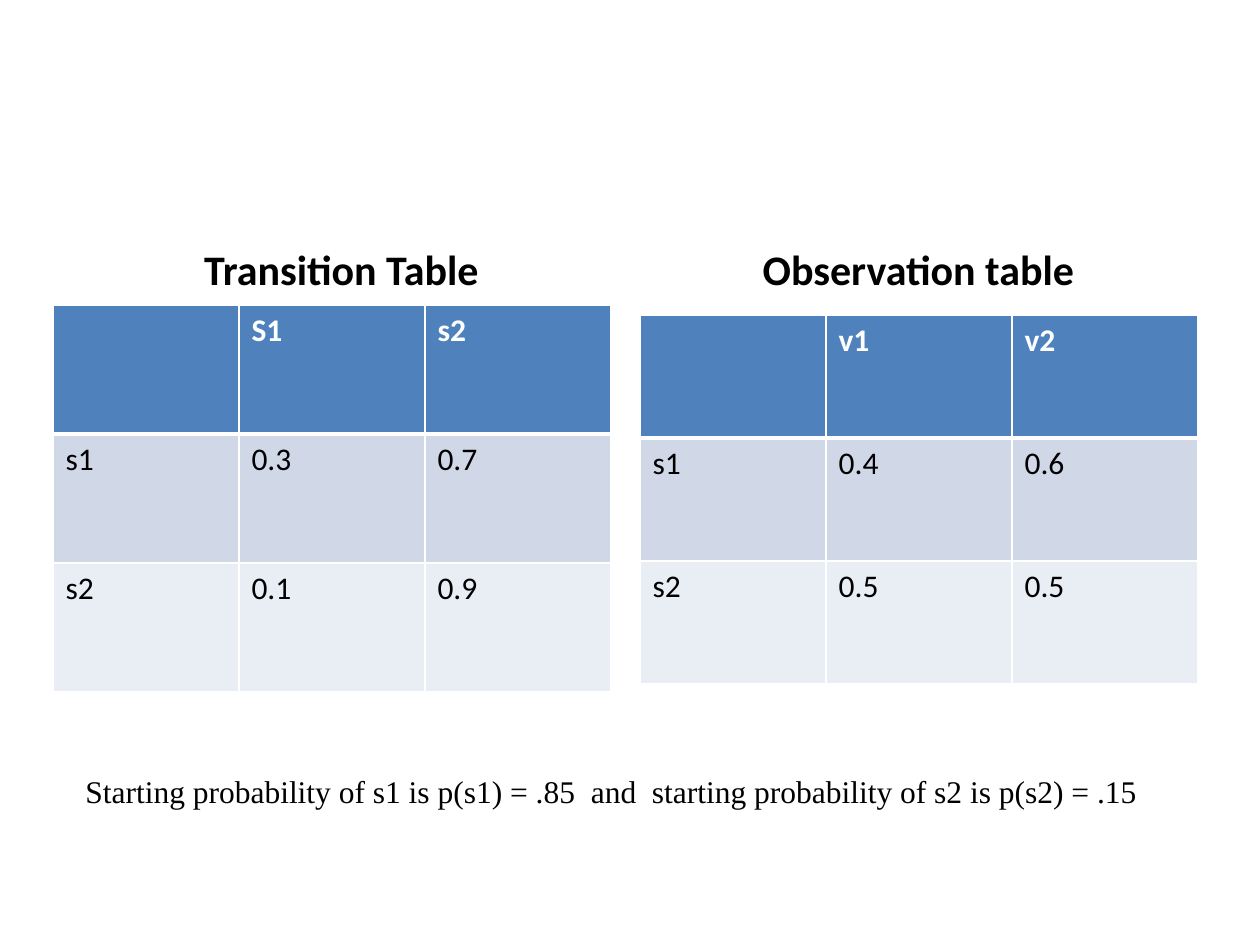
from dataclasses import dataclass

from lxml.etree import SubElement
from pptx import Presentation
from pptx.dml.color import RGBColor as RGB
from pptx.enum.text import MSO_ANCHOR as ANCHOR, PP_ALIGN as ALIGN
from pptx.oxml.ns import qn
from pptx.util import Emu, Pt

SCALE = 914400 / 126


@dataclass(frozen=True)
class Theme:
    header: str = "4F81BD"
    bands: tuple = ("D0D8E8", "E9EDF4")
    line: str = "FFFFFF"
    light: str = "FFFFFF"
    dark: str = "000000"
    font: str = "Calibri"
    note_font: str = "Times New Roman"
    title_size: int = 24
    body_size: int = 18


theme = Theme()


def px(*lengths):
    return [Emu(round(n * SCALE)) for n in lengths]


def write(tf, text, font=theme.font, size=theme.body_size, color=theme.dark,
          bold=False, align=ALIGN.LEFT, anchor=ANCHOR.TOP):
    tf.word_wrap = True
    tf.vertical_anchor = anchor
    p = tf.paragraphs[0]
    p.alignment = align
    r = p.add_run()
    r.text = text
    r.font.name = font
    r.font.size = Pt(size)
    r.font.bold = bold
    r.font.color.rgb = RGB.from_string(color)


prs = Presentation()
prs.slide_width, prs.slide_height = px(1260, 945)
s = prs.slides.add_slide(prs.slide_layouts[6])

COL_W = 186
# title, title left, table left, table top, row height, rows
tables = [
    ("Transition Table", 63, 53, 305, 129,
     [("", "S1", "s2"), ("s1", "0.3", "0.7"), ("s2", "0.1", "0.9")]),
    ("Observation table", 640, 640, 315, 123,
     [("", "v1", "v2"), ("s1", "0.4", "0.6"), ("s2", "0.5", "0.5")]),
]

for title, title_x, x, y, row_h, rows in tables:
    sp = s.shapes.add_textbox(*px(title_x, 212, 557, 88))
    write(sp.text_frame, title, size=theme.title_size, bold=True,
          align=ALIGN.CENTER, anchor=ANCHOR.BOTTOM)

    n_rows, n_cols = len(rows), len(rows[0])
    table = s.shapes.add_table(
        n_rows, n_cols, *px(x, y, COL_W * n_cols, row_h * n_rows)).table
    for col in table.columns:
        col.width = px(COL_W)[0]
    for i, values in enumerate(rows):
        table.rows[i].height = px(row_h)[0]
        is_header = i == 0
        fill = theme.header if is_header else theme.bands[(i - 1) % 2]
        for j, value in enumerate(values):
            cell = table.cell(i, j)
            tcPr = cell._tc.get_or_add_tcPr()
            for side in "LRTB":
                under_header = (i, side) in ((0, "B"), (1, "T"))
                ln = SubElement(tcPr, qn(f"a:ln{side}"),
                                w=str(Pt(3 if under_header else 1)))
                SubElement(SubElement(ln, qn("a:solidFill")),
                           qn("a:srgbClr"), val=theme.line)
            cell.fill.solid()
            cell.fill.fore_color.rgb = RGB.from_string(fill)
            if value:
                write(cell.text_frame, value, bold=is_header,
                      color=theme.light if is_header else theme.dark)

sp = s.shapes.add_textbox(*px(73, 766, 1113, 50))
write(sp.text_frame,
      "Starting probability of s1 is p(s1) = .85  and  "
      "starting probability of s2 is p(s2) = .15",
      font=theme.note_font)

prs.save("out.pptx")
